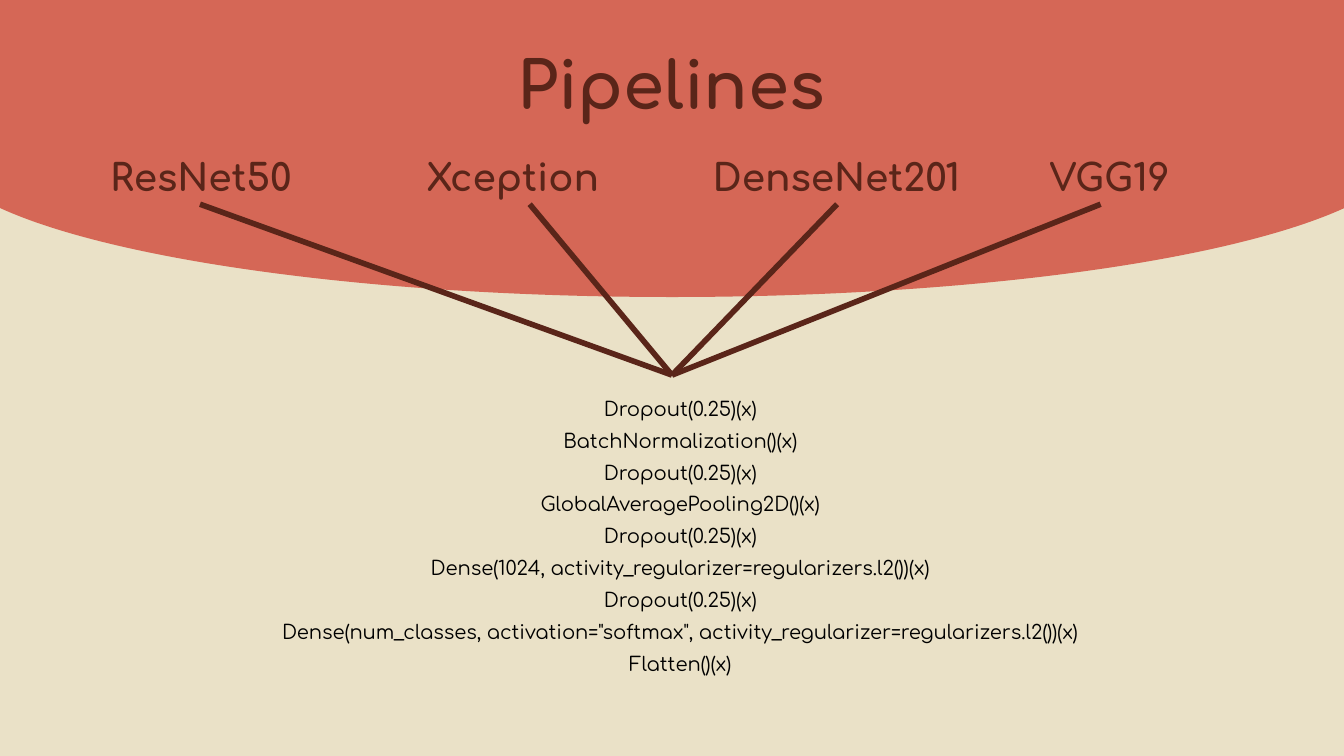
from lxml import etree
from pptx import Presentation
from pptx.dml.color import RGBColor
from pptx.enum import shapes, text
from pptx.oxml.ns import qn
from pptx.util import Cm, Pt

CREAM = RGBColor(0xEA, 0xE1, 0xC7)
CORAL = RGBColor(0xD5, 0x67, 0x56)
BROWN = RGBColor(0x5A, 0x25, 0x19)
BLACK = RGBColor(0, 0, 0)
FONT = "Comfortaa"

TITLE = "Pipelines"
# name, label centre, line start
MODELS = [
    ("ResNet50", 3.8, 3.78),
    ("Xception", 9.69, 10.01),
    ("DenseNet201", 15.81, 15.82),
    ("VGG19", 20.97, 20.8),
]
LAYERS = [
    "Dropout(0.25)(x)",
    "BatchNormalization()(x)",
    "Dropout(0.25)(x)",
    "GlobalAveragePooling2D()(x)",
    "Dropout(0.25)(x)",
    "Dense(1024, activity_regularizer=regularizers.l2())(x)",
    "Dropout(0.25)(x)",
    'Dense(num_classes, activation="softmax", activity_regularizer=regularizers.l2())(x)',
    "Flatten()(x)",
]
LABEL_W, LABEL_H, LABEL_TOP = 5.87, 0.99, 2.84
LINE_TOP, JOIN_X, JOIN_Y = 3.86, 12.7, 7.09


def add_text(s, lines, left, top, width, height, size, color, bold=False,
             anchor=text.MSO_ANCHOR.TOP, spacing=None):
    tf = s.shapes.add_textbox(Cm(left), Cm(top), Cm(width), Cm(height)).text_frame
    tf.word_wrap = True
    tf.vertical_anchor = anchor
    tf.margin_left = tf.margin_right = tf.margin_top = tf.margin_bottom = Cm(0.25)
    tf.text = "\n".join(lines)
    for p in tf.paragraphs:
        p.alignment = text.PP_ALIGN.CENTER
        if spacing:
            p.line_spacing = spacing
        for r in p.runs:
            r.font.name = FONT
            r.font.size = Pt(size)
            r.font.bold = bold
            r.font.color.rgb = color


def add_line(s, start_x):
    line = s.shapes.add_connector(shapes.MSO_CONNECTOR.STRAIGHT, Cm(start_x),
                                  Cm(LINE_TOP), Cm(JOIN_X), Cm(JOIN_Y))
    line.line.color.rgb = BROWN
    line.line.width = Pt(3)
    etree.SubElement(line._element.spPr, qn("a:effectLst"))


def main():
    prs = Presentation()
    prs.slide_width, prs.slide_height = Cm(25.4), Cm(14.29)
    s = prs.slides.add_slide(prs.slide_layouts[6])
    s.background.fill.solid()
    s.background.fill.fore_color.rgb = CREAM

    dome = s.shapes.add_shape(shapes.MSO_SHAPE.FLOWCHART_DELAY,
                              Cm(9.86), Cm(-11.15), Cm(5.69), Cm(27.84))
    dome.rotation = 90
    dome.shadow.inherit = False
    dome.fill.solid()
    dome.fill.fore_color.rgb = CORAL
    dome.line.fill.background()

    add_text(s, [TITLE], 1.7, 0.58, 21.97, 1.6, 35, BROWN, bold=True)
    add_text(s, LAYERS, 2.52, JOIN_Y, 20.68, 6.6, 10.5, BLACK, spacing=1.36)
    for name, centre, start_x in MODELS:
        add_line(s, start_x)
        add_text(s, [name], centre - LABEL_W / 2, LABEL_TOP, LABEL_W, LABEL_H,
                 20, BROWN, bold=True, anchor=text.MSO_ANCHOR.MIDDLE)
    prs.save("out.pptx")


if __name__ == "__main__":
    main()
